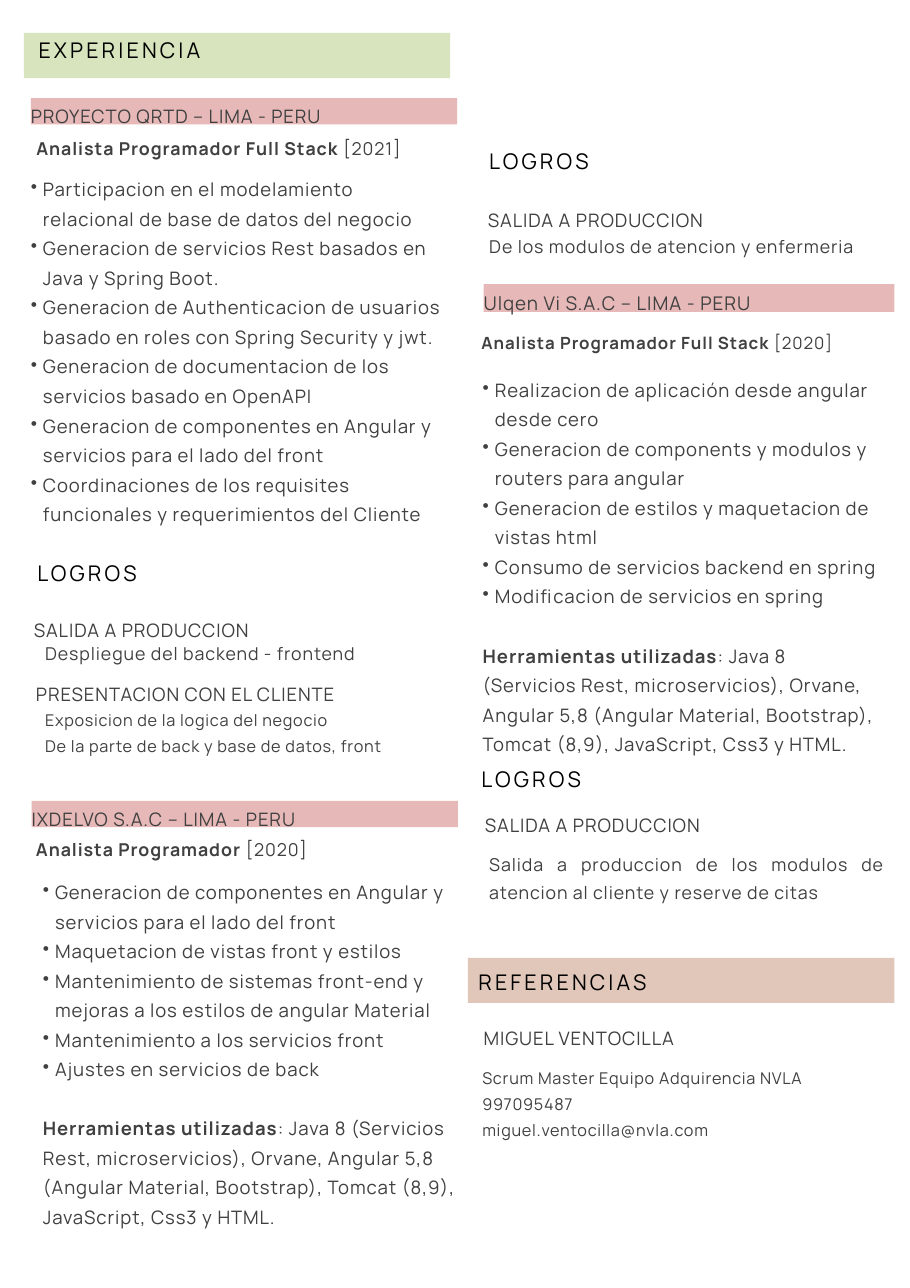
import pptx
import pptx.dml.color
import pptx.enum.shapes
import pptx.enum.text
import pptx.util
from lxml import etree
from pptx.util import Cm, Pt

BLACK = pptx.dml.color.RGBColor(0x00, 0x00, 0x00)
GRAY = pptx.dml.color.RGBColor(0x40, 0x40, 0x40)
GREEN = pptx.dml.color.RGBColor(0xD7, 0xE4, 0xBD)
PINK = pptx.dml.color.RGBColor(0xE6, 0xB9, 0xB8)
TAN = pptx.dml.color.RGBColor(0xE1, 0xC7, 0xB9)

LEFT = pptx.enum.text.PP_ALIGN.LEFT
JUSTIFY = pptx.enum.text.PP_ALIGN.JUSTIFY
FRAME = {
    "word_wrap": True,
    "auto_size": pptx.enum.text.MSO_AUTO_SIZE.NONE,
    "vertical_anchor": pptx.enum.text.MSO_ANCHOR.TOP,
    "margin_left": 0, "margin_right": 0, "margin_top": 0, "margin_bottom": 0,
}
FORMATS = {
    "title": {"size": 14.1, "leading": 13.7, "tracking": 210, "color": BLACK},
    "subtitle": {"size": 12.1, "leading": 19.3, "tracking": 60, "color": GRAY},
    "wide": {"size": 12.3, "leading": 19.8, "tracking": 60, "color": GRAY},
    "body": {"size": 11.6, "leading": 18.6, "tracking": 60, "color": GRAY},
    "compact": {"size": 11, "leading": 18.6, "tracking": 60, "color": GRAY},
    "small": {"size": 10.6, "leading": 17, "tracking": 50, "color": GRAY},
}
TOOLS = ("Herramientas utilizadas", ": Java 8 (Servicios Rest, microservicios), Orvane, "
         "Angular 5,8 (Angular Material, Bootstrap), Tomcat (8,9), JavaScript, Css3 y HTML.")


def apply(target, values):
    for name, value in values.items():
        setattr(target, name, value)


def write_line(paragraph, runs, style, align):
    look = FORMATS[style]
    apply(paragraph, {"alignment": align, "line_spacing": Pt(look["leading"])})
    for words, bold in runs:
        run = paragraph.add_run()
        run.text = words
        apply(run.font, {"name": "Manrope", "size": Pt(look["size"]), "bold": bold})
        run.font.color.rgb = look["color"]
        run._r.get_or_add_rPr().set("spc", str(look["tracking"]))


def write_lines(frame, lines, style, align):
    apply(frame, FRAME)
    for index, runs in enumerate(lines):
        paragraph = frame.add_paragraph() if index else frame.paragraphs[0]
        write_line(paragraph, runs, style, align)


def add_text(slide, box, lines, style, align=LEFT):
    text = slide.shapes.add_textbox(*map(Cm, box))
    write_lines(text.text_frame, lines, style, align)
    return text.text_frame


def plain(*lines):
    return [[(line, False)] for line in lines]


def indent(paragraph, margin, bullet=False):
    properties = paragraph._p.get_or_add_pPr()
    properties.set("marL", str(Cm(margin)))
    properties.set("indent", str(Cm(-0.28) if bullet else 0))
    if bullet:
        mark = etree.SubElement(properties, pptx.oxml.ns.qn("a:buChar"))
        mark.set("char", "•")


def add_band(slide, box, color):
    band = slide.shapes.add_shape(pptx.enum.shapes.MSO_SHAPE.RECTANGLE, *map(Cm, box))
    band.shadow.inherit = False
    band.fill.solid()
    band.fill.fore_color.rgb = color
    band.line.fill.background()
    return band


def add_section(slide, box, title, color, inset, align):
    left, top, width, height = box
    add_band(slide, box, color)
    add_text(slide, (left + inset[0], top + inset[1], 7.3, 0.5), plain(title), "title", align)


def add_job(slide, box, job):
    left, top, width, height = box
    band = add_band(slide, box, PINK)
    write_lines(band.text_frame, plain(job["company"]), job["company_style"], LEFT)
    dx, dy = job["role_offset"]
    add_text(slide, (left + dx, top + dy, 9.68, 0.61),
             [[(job["role"], True), (f" [{job['year']}]", False)]], job["role_style"])
    dx, dy = job["duties_offset"]
    lines = plain(*job["duties"])
    if job["tools"]:
        lines.append(list(zip(TOOLS, (True, False))))
    duties = add_text(slide, (left + dx, top + dy, job["duties_width"], job["duties_height"]),
                      lines, "subtitle")
    for paragraph in duties.paragraphs[:len(job["duties"])]:
        indent(paragraph, 0.56, bullet=True)
    if job["tools"]:
        tools = duties.paragraphs[-1]
        tools.space_before = Pt(FORMATS["subtitle"]["leading"])
        indent(tools, 0.28)


def add_achievements(slide, box, entries):
    left, top, width = box
    add_text(slide, (left, top, 7.37, 0.5), plain("LOGROS"), "title", JUSTIFY)
    for dx, dy, style, lines in entries:
        add_text(slide, (left + dx, top + dy, width, 0.57 * len(lines)),
                 plain(*lines), style, JUSTIFY)


def add_references(slide, box):
    left, top, width, height = box
    add_section(slide, box, "REFERENCIAS", TAN, (0.24, 0.37), JUSTIFY)
    add_text(slide, (left + 0.36, top + 1.42, 7.3, 0.53),
             plain("MIGUEL VENTOCILLA"), "subtitle", JUSTIFY)
    add_text(slide, (left + 0.33, top + 2.39, 9.63, 2.36),
             plain("Scrum Master Equipo Adquirencia NVLA", "997095487",
                   "miguel.ventocilla@nvla.com"), "small", JUSTIFY)


JOBS = [
    ((0.71, 2.26, 9.83, 0.61), {
        "company": "PROYECTO QRTD – LIMA - PERU", "company_style": "subtitle",
        "role": "Analista Programador Full Stack", "year": 2021, "role_style": "body",
        "role_offset": (0.13, 0.74), "duties_offset": (-0.28, 1.68),
        "duties_width": 9.83, "duties_height": 8.05, "tools": False,
        "duties": [
            "Participacion en el modelamiento relacional de base de datos del negocio",
            "Generacion de servicios Rest basados en Java y Spring Boot.",
            "Generacion de Authenticacion de usuarios basado en roles con Spring Security y jwt.",
            "Generacion de documentacion de los servicios basado en OpenAPI",
            "Generacion de componentes en Angular y servicios para el lado del front",
            "Coordinaciones de los requisites funcionales y requerimientos del Cliente"]}),
    ((0.73, 18.46, 9.83, 0.61), {
        "company": "IXDELVO S.A.C – LIMA - PERU", "company_style": "subtitle",
        "role": "Analista Programador", "year": 2020, "role_style": "body",
        "role_offset": (0.1, 0.71), "duties_offset": (-0.02, 1.68),
        "duties_width": 9.83, "duties_height": 8.74, "tools": True,
        "duties": [
            "Generacion de componentes en Angular y servicios para el lado del front",
            "Maquetacion de vistas front y estilos",
            "Mantenimiento de sistemas front-end y mejoras a los estilos de angular Material",
            "Mantenimiento a los servicios front",
            "Ajustes en servicios de back"]}),
    ((11.15, 6.55, 9.47, 0.64), {
        "company": "Ulqen Vi S.A.C – LIMA - PERU", "company_style": "wide",
        "role": "Analista Programador Full Stack", "year": 2020, "role_style": "compact",
        "role_offset": (-0.05, 0.92), "duties_offset": (-0.3, 2.01),
        "duties_width": 9.55, "duties_height": 9.4, "tools": True,
        "duties": [
            "Realizacion de aplicación desde angular desde cero",
            "Generacion de components y modulos y routers para angular",
            "Generacion de estilos y maquetacion de vistas html",
            "Consumo de servicios backend en spring",
            "Modificacion de servicios en spring"]}),
]
RELEASE = ["SALIDA A PRODUCCION"]
ACHIEVEMENTS = [
    ((0.86, 13.03, 9.63), [
        (-0.08, 1.07, "subtitle", RELEASE),
        (0.18, 1.63, "body", ["Despliegue del backend - frontend"]),
        (-0.03, 2.54, "subtitle", ["PRESENTACION CON EL CLIENTE"]),
        (0.18, 3.2, "small", ["Exposicion de la logica del negocio",
                              "De la parte de back y base de datos, front"])]),
    ((11.28, 3.53, 9.6), [
        (-0.03, 1.12, "subtitle", RELEASE),
        (0, 1.75, "body", ["De los modulos de atencion y enfermeria"])]),
    ((11.1, 17.78, 9.12), [
        (0.08, 0.81, "subtitle", RELEASE),
        (0.18, 1.73, "body", ["Salida a produccion de los modulos de atencion al cliente "
                              "y reserve de citas"])]),
]


def main():
    resume = pptx.Presentation()
    apply(resume, {"slide_width": Cm(20.98), "slide_height": Cm(29.69)})
    slide = resume.slides.add_slide(resume.slide_layouts[6])
    add_section(slide, (0.55, 0.76, 9.83, 1.04), "EXPERIENCIA", GREEN, (0.34, 0.21), LEFT)
    for box, job in JOBS:
        add_job(slide, box, job)
    for box, entries in ACHIEVEMENTS:
        add_achievements(slide, box, entries)
    add_references(slide, (10.79, 22.08, 9.83, 1.04))
    resume.save("out.pptx")


if __name__ == "__main__":
    main()
